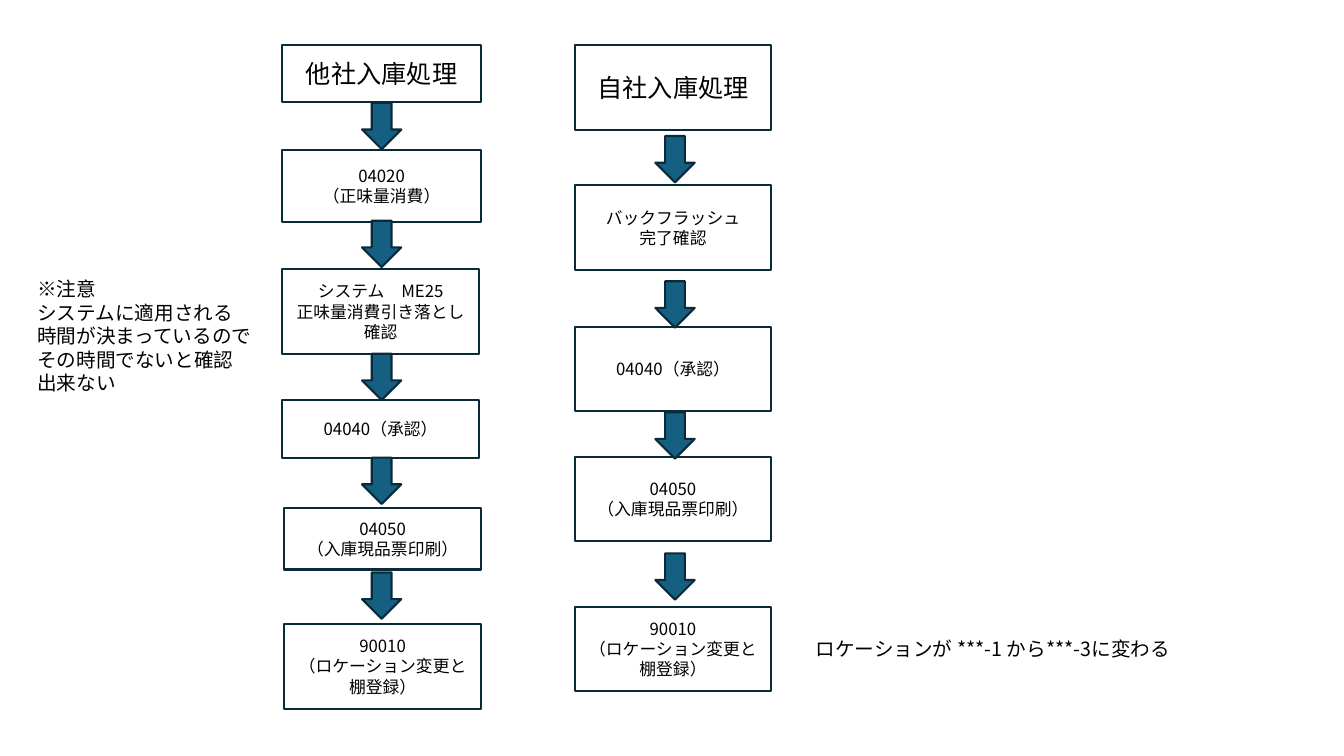
from lxml import etree
from pptx import Presentation
from pptx import util as u
from pptx.dml.color import RGBColor
from pptx.enum import shapes, text
from pptx.oxml.ns import qn

PX = 9144  # 100 px to the inch
FONT = "Noto Sans CJK JP"
COLORS = {"text": "000000", "line": "092A39", "arrow": "156082"}
HEADING, STEP, NOTE = 18, 12, 14
ARROW_WIDTH, ARROW_HEIGHT = 39, 46

# Each step: shift right, top, width, height, gap to its arrow, text size, lines
SUPPLIER_STEPS = [
    (0, 0, 197, 56, 1, HEADING, ["他社入庫処理"]),
    (0, 104, 197, 71, -1, STEP, ["04020", "（正味量消費）"]),
    (0, 222, 195, 84, 0, STEP, ["システム　ME25", "正味量消費引き落とし確認"]),
    (0, 352, 195, 57, 0, STEP, ["04040（承認）"]),
    (2, 459, 195, 61, 3, STEP, ["04050", "（入庫現品票印刷）"]),
    (2, 574, 195, 84, None, STEP, ["90010", "（ロケーション変更と棚登録）"]),
]
OWN_STEPS = [
    (0, 0, 195, 84, 6, HEADING, ["自社入庫処理"]),
    (0, 139, 195, 84, 11, STEP, ["バックフラッシュ", "完了確認"]),
    (0, 279, 195, 84, 1, STEP, ["04040（承認）"]),
    (0, 408, 195, 84, 12, STEP, ["04050", "（入庫現品票印刷）"]),
    (0, 557, 195, 84, None, STEP, ["90010", "（ロケーション変更と棚登録）"]),
]


def px(*lengths):
    return [u.Emu(length * PX) for length in lengths]


def color(name):
    return RGBColor.from_string(COLORS[name])


def write(frame, lines, size, align):
    frame.word_wrap = True
    for index, line in enumerate(lines):
        para = frame.paragraphs[0] if index == 0 else frame.add_paragraph()
        para.alignment = align
        span = para.add_run()
        span.text = line
        for key, value in {"size": u.Pt(size), "name": FONT}.items():
            setattr(span.font, key, value)
        span.font.color.rgb = color("text")
        # East Asian typeface
        latin = span.font._element.find(qn("a:latin"))
        east_asian = etree.Element(qn("a:ea"), typeface=FONT)
        latin.addnext(east_asian)


def add_outlined(page, kind, box, fill=None):
    shape = page.shapes.add_shape(kind, *px(*box))
    shape.shadow.inherit = False
    if fill:
        shape.fill.solid()
        shape.fill.fore_color.rgb = color(fill)
    else:
        shape.fill.background()
    shape.line.color.rgb = color("line")
    shape.line.width = u.Pt(1.5)
    return shape


def add_flow(page, left, top, arrow_shift, steps):
    # Step boxes
    for shift, offset, width, height, _, size, lines in steps:
        box = (left + shift, top + offset, width, height)
        shape = add_outlined(page, shapes.MSO_SHAPE.RECTANGLE, box)
        shape.text_frame.vertical_anchor = text.MSO_ANCHOR.MIDDLE
        write(shape.text_frame, lines, size, text.PP_ALIGN.CENTER)
    # Arrows to the next step
    for _, offset, _, height, gap, _, _ in steps[:-1]:
        box = (left + arrow_shift, top + offset + height + gap,
               ARROW_WIDTH, ARROW_HEIGHT)
        add_outlined(page, shapes.MSO_SHAPE.DOWN_ARROW, box, "arrow")


def add_note(page, box, lines):
    note = page.shapes.add_textbox(*px(*box))
    note.text_frame.auto_size = text.MSO_AUTO_SIZE.SHAPE_TO_FIT_TEXT
    write(note.text_frame, lines, NOTE, text.PP_ALIGN.LEFT)


def main():
    deck = Presentation()
    deck.slide_width, deck.slide_height = px(1333, 750)
    page = deck.slides.add_slide(deck.slide_layouts[6])

    # Receiving flows
    add_flow(page, 280, 45, 79, SUPPLIER_STEPS)
    add_flow(page, 570, 45, 80, OWN_STEPS)

    # Side notes
    add_note(page, (27, 270, 371, 128),
             ["※注意", "システムに適用される", "時間が決まっているので",
              "その時間でないと確認", "出来ない"])
    add_note(page, (799, 627, 400, 34), ["ロケーションが ***-1 から***-3に変わる"])

    deck.save("out.pptx")


if __name__ == "__main__":
    main()
